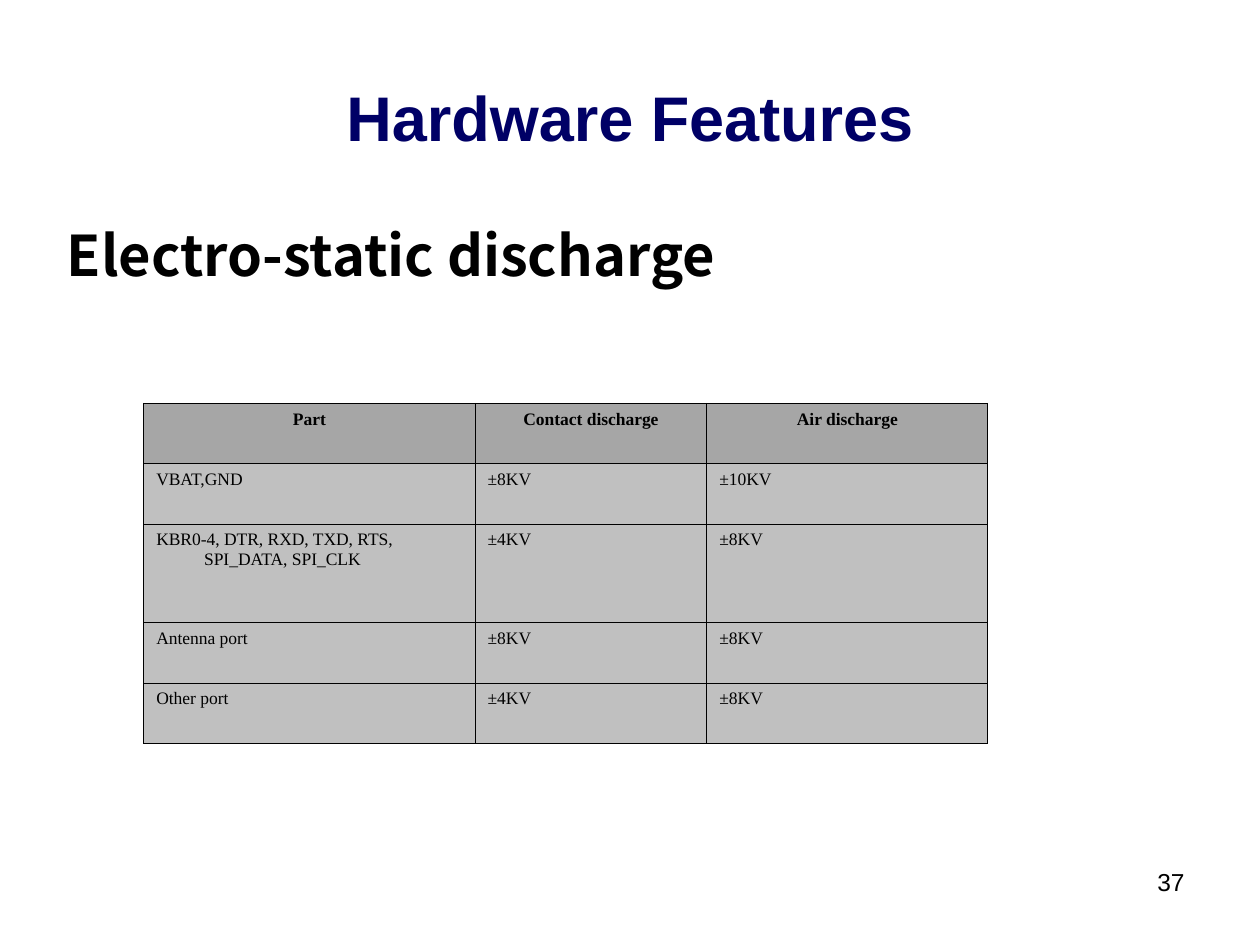
"""Build the Hardware Features slide with its electro-static discharge table."""
from lxml.etree import SubElement
from pptx import Presentation
from pptx.dml.color import RGBColor
from pptx.enum.text import MSO_ANCHOR, PP_ALIGN
from pptx.oxml.ns import qn
from pptx.util import Inches, Pt

COLORS = {"title": "000066", "text": "000000", "border": "000000",
          "header": "A6A6A6", "body": "C0C0C0"}

TEXTS = [
    {"text": "Hardware Features", "box": (0.5, 0.3, 9, 1.25),
     "anchor": MSO_ANCHOR.MIDDLE, "align": PP_ALIGN.CENTER,
     "font": {"name": "Arial", "size": Pt(36), "bold": True}, "color": "title"},
    {"text": "Electro-static discharge", "box": (0.43, 1.7, 7.09, 4.95),
     "anchor": MSO_ANCHOR.TOP, "align": PP_ALIGN.LEFT, "indent": 0.3, "before": 8,
     "font": {"name": "Noto Sans CJK SC", "size": Pt(32), "bold": True}, "color": "text"},
    {"text": "37", "box": (7.17, 6.83, 2.33, 0.52),
     "anchor": MSO_ANCHOR.TOP, "align": PP_ALIGN.RIGHT,
     "font": {"name": "Arial", "size": Pt(14), "bold": False}, "color": "text"},
]

DISCHARGE_ROWS = [
    ("Part", "Contact discharge", "Air discharge"),
    ("VBAT,GND", "±8KV", "±10KV"),
    ("KBR0-4, DTR, RXD, TXD, RTS, SPI_DATA, SPI_CLK", "±4KV", "±8KV"),
    ("Antenna port", "±8KV", "±8KV"),
    ("Other port", "±4KV", "±8KV"),
]
COLUMN_WIDTHS = (2.63, 1.84, 2.23)
ROW_HEIGHTS = (0.48, 0.48, 0.78, 0.48, 0.48)
TABLE_ORIGIN = (1.14, 3.2)
CELL_INDENT = 0.38
BORDER_WIDTH = 0.45


def write(paragraph, text, align, font, color, indent=0, before=0):
    paragraph.alignment = align
    paragraph.space_before = Pt(before)
    if indent:
        properties = paragraph._p.get_or_add_pPr()
        properties.set("marL", str(Inches(indent)))
        properties.set("indent", str(-Inches(indent)))
    run = paragraph.add_run()
    run.text = text
    for attribute, value in font.items():
        setattr(run.font, attribute, value)
    run.font.color.rgb = RGBColor.from_string(COLORS[color])


def add_text(slide, text, box, anchor, **style):
    shape = slide.shapes.add_textbox(*map(Inches, box))
    shape.text_frame.word_wrap = True
    shape.text_frame.vertical_anchor = anchor
    write(shape.text_frame.paragraphs[0], text, **style)


def style_cell(cell, fill):
    properties = cell._tc.get_or_add_tcPr()
    for side in ("a:lnL", "a:lnR", "a:lnT", "a:lnB"):
        line = SubElement(properties, qn(side), w=str(Pt(BORDER_WIDTH)))
        solid = SubElement(line, qn("a:solidFill"))
        SubElement(solid, qn("a:srgbClr"), val=COLORS["border"])
    cell.fill.solid()
    cell.fill.fore_color.rgb = RGBColor.from_string(COLORS[fill])


def add_discharge_table(slide):
    size = (sum(COLUMN_WIDTHS), sum(ROW_HEIGHTS))
    table = slide.shapes.add_table(len(ROW_HEIGHTS), len(COLUMN_WIDTHS),
                                   *map(Inches, TABLE_ORIGIN + size)).table
    for column, width in zip(table.columns, COLUMN_WIDTHS):
        column.width = Inches(width)
    for row_index, (row, height, texts) in enumerate(
            zip(table.rows, ROW_HEIGHTS, DISCHARGE_ROWS)):
        row.height = Inches(height)
        is_header = row_index == 0
        font = {"name": "Times New Roman", "size": Pt(10), "bold": is_header}
        align = PP_ALIGN.CENTER if is_header else PP_ALIGN.LEFT
        for cell, text in zip(row.cells, texts):
            style_cell(cell, "header" if is_header else "body")
            write(cell.text_frame.paragraphs[0], text, align, font, "text", CELL_INDENT)


def main():
    presentation = Presentation()
    presentation.slide_width = Inches(10)
    presentation.slide_height = Inches(7.5)
    slide = presentation.slides.add_slide(presentation.slide_layouts[6])
    title, subtitle, page_number = TEXTS
    add_text(slide, **title)
    add_text(slide, **subtitle)
    add_discharge_table(slide)
    add_text(slide, **page_number)
    presentation.save("out.pptx")


if __name__ == "__main__":
    main()
